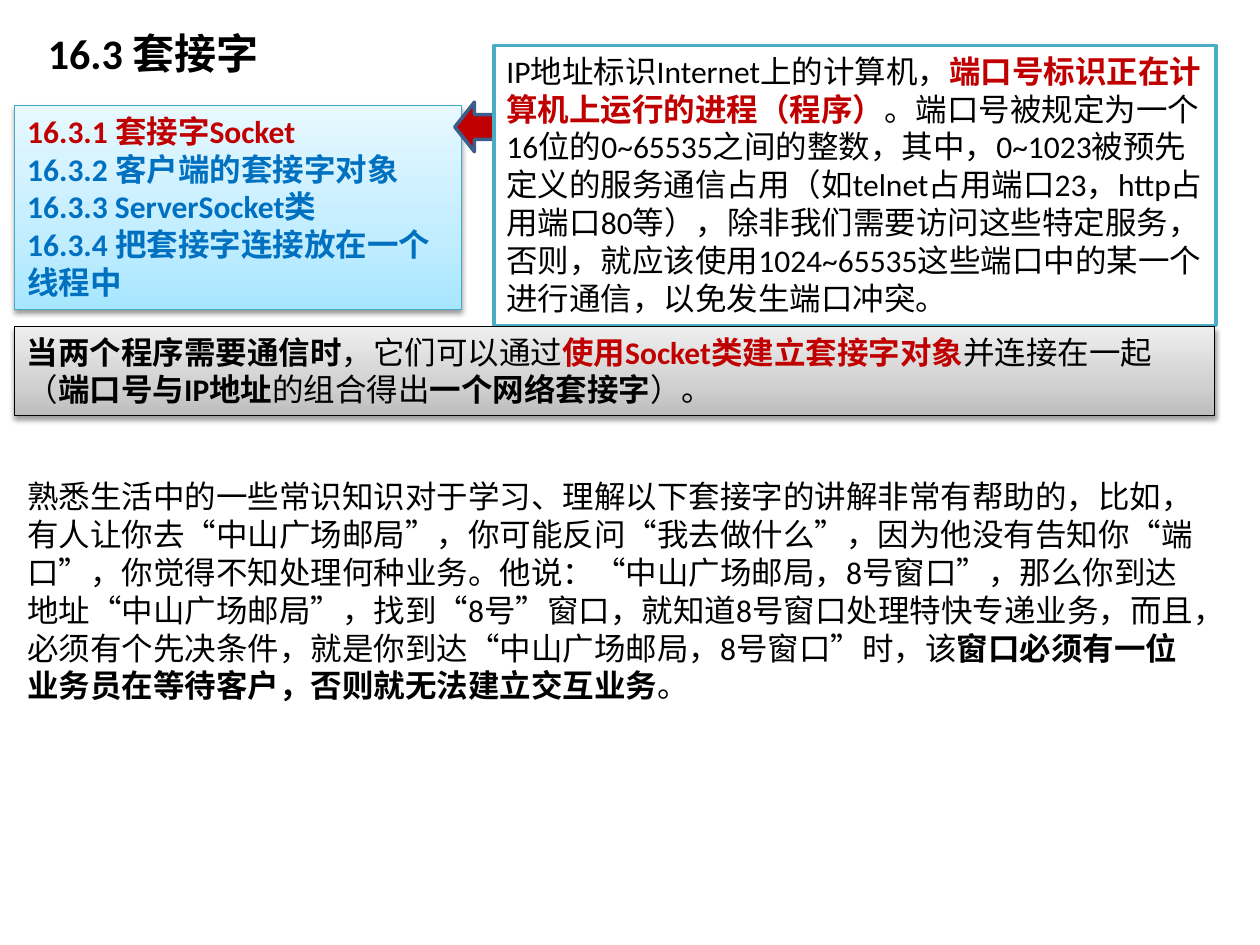
from lxml.etree import SubElement
from pptx import Presentation
from pptx.dml.color import RGBColor
from pptx.enum.shapes import MSO_SHAPE
from pptx.enum.text import MSO_ANCHOR, MSO_AUTO_SIZE, PP_ALIGN
from pptx.oxml.ns import qn
from pptx.util import Cm, Pt

FONT = "Calibri"
BLACK = RGBColor(0x00, 0x00, 0x00)
WHITE = RGBColor(0xFF, 0xFF, 0xFF)
RED = RGBColor(0xC0, 0x00, 0x00)
BLUE = RGBColor(0x00, 0x70, 0xC0)
TEAL = RGBColor(0x4B, 0xAC, 0xC6)
AQUA = RGBColor(0x46, 0xAA, 0xC5)
NAVY = RGBColor(0x3A, 0x5F, 0x8C)
SKIES = [RGBColor(0xA7, 0xE6, 0xFF), RGBColor(0xC1, 0xED, 0xFF), RGBColor(0xE7, 0xF8, 0xFF)]
GREYS = [RGBColor(0xBD, 0xBD, 0xBD), RGBColor(0xD1, 0xD1, 0xD1), RGBColor(0xEE, 0xEE, 0xEE)]
STOPS = [0, 35, 100]

PLAIN = (BLACK, False)
BOLD = (BLACK, True)
HOT = (RED, True)
COOL = (BLUE, True)

TOPICS = [
    [("16.3.1 套接字Socket", HOT)],
    [("16.3.2 客户端的套接字对象", COOL)],
    [("16.3.3 ServerSocket类", COOL)],
    [("16.3.4 把套接字连接放在一个线程中", COOL)],
]
PORTS = [[
    ("IP地址标识Internet上的计算机，", PLAIN),
    ("端口号标识正在计算机上运行的进程（程序）", HOT),
    ("。端口号被规定为一个16位的0~65535之间的整数，其中，0~1023被预先定义的服务通信占用"
     "（如telnet占用端口23，http占用端口80等），除非我们需要访问这些特定服务，否则，"
     "就应该使用1024~65535这些端口中的某一个进行通信，以免发生端口冲突。", PLAIN),
]]
LINKS = [[
    ("当两个程序需要通信时", BOLD),
    ("，它们可以通过", PLAIN),
    ("使用Socket类建立套接字对象", HOT),
    ("并连接在一起（", PLAIN),
    ("端口号与IP地址", BOLD),
    ("的组合得出", PLAIN),
    ("一个网络套接字", BOLD),
    ("）。", PLAIN),
]]
STORY = [[
    ("熟悉生活中的一些常识知识对于学习、理解以下套接字的讲解非常有帮助的，比如，"
     "有人让你去“中山广场邮局”，你可能反问“我去做什么”，因为他没有告知你“端口”，"
     "你觉得不知处理何种业务。他说：“中山广场邮局，8号窗口”，那么你到达地址“中山广场邮局”，"
     "找到“8号”窗口，就知道8号窗口处理特快专递业务，而且，必须有个先决条件，"
     "就是你到达“中山广场邮局，8号窗口”时，该", PLAIN),
    ("窗口必须有一位业务员在等待客户，否则就无法建立交互业务", BOLD),
    ("。", PLAIN),
]]


def style(run, size, color, bold):
    font = run.font
    font.name, font.size, font.bold = FONT, Pt(size), bold
    font.color.rgb = color


def write(shape, paras):
    frame = shape.text_frame
    frame.word_wrap = True
    frame.auto_size = MSO_AUTO_SIZE.SHAPE_TO_FIT_TEXT
    frame.vertical_anchor = MSO_ANCHOR.TOP
    for i, parts in enumerate(paras):
        para = frame.add_paragraph() if i else frame.paragraphs[0]
        para.alignment = PP_ALIGN.LEFT
        for text, look in parts:
            run = para.add_run()
            run.text = text
            style(run, 18, *look)


def add_block(slide, kind, box, line, width, fill=None):
    shape = slide.shapes.add_shape(kind, *map(Cm, box))
    shape.shadow.inherit = False
    shape.line.color.rgb = line
    shape.line.width = Pt(width)
    if fill is not None:
        shape.fill.solid()
        shape.fill.fore_color.rgb = fill
    return shape


def shade(shape, colors):
    shape.fill.gradient()
    shape.fill.gradient_angle = 90
    props = shape.element.spPr
    stops = props.find(qn("a:gradFill")).find(qn("a:gsLst"))
    for old in list(stops):
        stops.remove(old)
    for pos, color in zip(STOPS, colors):
        stop = SubElement(stops, qn("a:gs"), pos=str(pos * 1000))
        SubElement(stop, qn("a:srgbClr"), val=str(color))
    cast = SubElement(props.find(qn("a:effectLst")), qn("a:outerShdw"),
                      blurRad=str(Pt(3.1)), dist=str(Pt(1.6)),
                      dir="5400000", rotWithShape="0")
    tint = SubElement(cast, qn("a:srgbClr"), val=str(BLACK))
    SubElement(tint, qn("a:alpha"), val="38000")


def add_panel(slide, box, line, colors, paras):
    panel = add_block(slide, MSO_SHAPE.RECTANGLE, box, line, 0.75)
    shade(panel, colors)
    write(panel, paras)


def add_title(slide, text, box):
    title = slide.shapes.title
    title.left, title.top, title.width, title.height = map(Cm, box)
    frame = title.text_frame
    frame.text = text
    frame.auto_size = MSO_AUTO_SIZE.NONE
    frame.vertical_anchor = MSO_ANCHOR.BOTTOM
    para = frame.paragraphs[0]
    para.alignment = PP_ALIGN.LEFT
    style(para.runs[0], 24, *BOLD)


def main():
    deck = Presentation()
    deck.slide_width, deck.slide_height = Cm(25.4), Cm(19.05)
    slide = deck.slides.add_slide(deck.slide_layouts[5])
    add_title(slide, "16.3 套接字", (0.71, -0.23, 7.8, 1.93))
    add_panel(slide, (0.3, 2.13, 9, 4.11), AQUA, SKIES, TOPICS)
    add_block(slide, MSO_SHAPE.LEFT_ARROW, (9.17, 2.06, 0.79, 1), NAVY, 2, RED)
    note = add_block(slide, MSO_SHAPE.RECTANGLE, (9.96, 0.92, 14.55, 5.64), TEAL, 2, WHITE)
    write(note, PORTS)
    add_panel(slide, (0.29, 6.58, 24.2, 1.8), BLACK, GREYS, LINKS)
    story = slide.shapes.add_textbox(*map(Cm, (0.3, 9.5, 24.2, 4.88)))
    write(story, STORY)
    deck.save("out.pptx")


if __name__ == "__main__":
    main()
